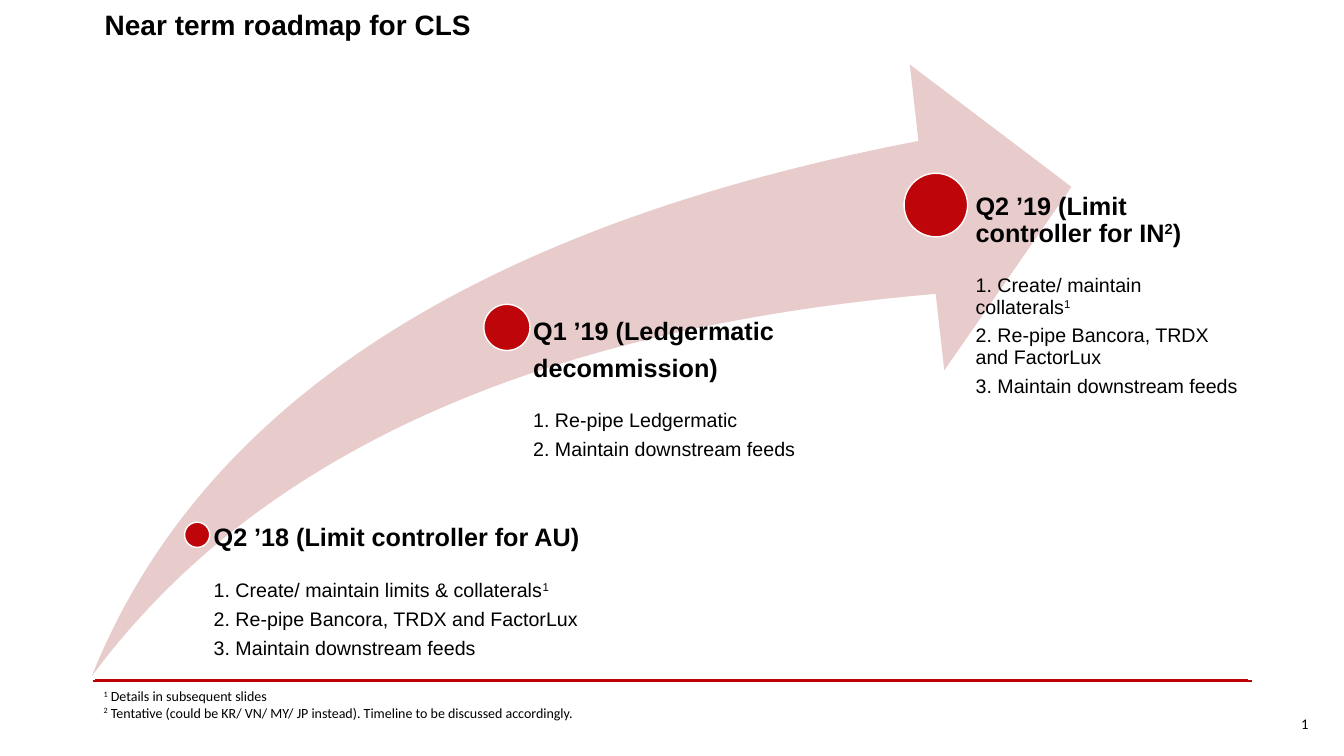
from dataclasses import dataclass

from lxml import etree
from pptx import Presentation
from pptx.dml.color import RGBColor
from pptx.enum import shapes, text
from pptx.oxml import ns
from pptx.util import Pt


@dataclass(frozen=True)
class Theme:
    ink: str = "000000"
    white: str = "FFFFFF"
    red: str = "BE050A"
    rule: str = "C00000"
    blush: str = "E8CCCC"
    sans: str = "Arial"
    small_sans: str = "Calibri"
    title: float = 20
    heading: float = 18
    item: float = 14
    note: float = 10
    number: float = 10.5


THEME = Theme()

# Milestones: dot (left, top, diameter), box (left, top, width, height),
# left inset, heading lines, items; "^" precedes a raised figure
MILESTONES = [
    ((131.8, 373, 18), (143.3, 375.1, 273, 102.2), 9.36,
     ["Q2 ’18 (Limit controller for AU)"],
     ["1. Create/ maintain limits & collaterals^1",
      "2. Re-pipe Bancora, TRDX and FactorLux",
      "3. Maintain downstream feeds"]),
    ((345.6, 217.4, 33), (371.5, 227.5, 257.8, 108), 9.36,
     ["Q1 ’19 (Ledgermatic", "decommission)"],
     ["1. Re-pipe Ledgermatic", "2. Maintain downstream feeds"]),
    ((645.8, 123.8, 45.4), (673.2, 138.2, 213.1, 143.3), 23.76,
     ["Q2 ’19 (Limit controller for IN^2)"],
     ["1. Create/ maintain collaterals^1",
      "2. Re-pipe Bancora, TRDX and FactorLux",
      "3. Maintain downstream feeds"]),
]
NOTES = [
    "^1 Details in subsequent slides",
    "^2 Tentative (could be KR/ VN/ MY/ JP instead). "
    "Timeline to be discussed accordingly.",
]


def color(value):
    return RGBColor.from_string(value)


def add_span(para, words, size, font, bold, raised=False):
    span = para.add_run()
    span.text = words
    span.font.size = Pt(size)
    span.font.name = font
    span.font.bold = bold
    span.font.color.rgb = color(THEME.ink)
    if raised:
        span._r.get_or_add_rPr().set("baseline", "30000")


def add_box(page, place, inset=None, anchor=text.MSO_ANCHOR.TOP):
    frame = page.shapes.add_textbox(*map(Pt, place)).text_frame
    frame.word_wrap = True
    frame.vertical_anchor = anchor
    if inset is not None:
        frame.margin_left = Pt(inset)
        frame.margin_top = frame.margin_right = frame.margin_bottom = 0
    return frame


def add_para(frame, words, size, font, bold=False):
    first = frame.paragraphs[0]
    para = frame.add_paragraph() if first.runs else first
    plain, *marked = words.split("^")
    if plain:
        add_span(para, plain, size, font, bold)
    for part in marked:
        add_span(para, part[0], size, font, bold, raised=True)
        if part[1:]:
            add_span(para, part[1:], size, font, bold)
    return para


def add_preset(page, kind, place, fill, outline=None):
    shape = page.shapes.add_shape(kind, *map(Pt, place))
    shape.shadow.inherit = False
    shape.fill.solid()
    shape.fill.fore_color.rgb = color(fill)
    if outline:
        shape.line.color.rgb = color(outline)
        shape.line.width = Pt(1)
    else:
        shape.line.fill.background()
    return shape


def add_rule(page, left, right, top, stroke):
    rule = page.shapes.add_connector(
        shapes.MSO_CONNECTOR.STRAIGHT, Pt(left), Pt(top), Pt(right), Pt(top))
    rule.line.color.rgb = color(stroke)
    rule.line.width = Pt(1.5)
    etree.SubElement(rule._element.spPr, ns.qn("a:effectLst"))


def add_milestone(page, dot, place, inset, heading, items):
    left, top, diameter = dot
    add_preset(page, shapes.MSO_SHAPE.OVAL, (left, top, diameter, diameter),
               THEME.red, THEME.white)
    frame = add_box(page, place, inset)
    for line in heading:
        para = add_para(frame, line, THEME.heading, THEME.sans, bold=True)
        para.line_spacing = 0.9
        para.space_after = Pt(7)
    para.space_after = Pt(20)
    for item in items:
        para = add_para(frame, item, THEME.item, THEME.sans)
        para.line_spacing = 0.9
        para.space_after = Pt(5.5)


def main():
    deck = Presentation()
    deck.slide_width, deck.slide_height = Pt(960), Pt(540)
    page = deck.slides.add_slide(deck.slide_layouts[6])

    # Footer rules
    add_rule(page, 67.7, 891.4, 486, THEME.red)
    add_rule(page, 66.2, 894.2, 486.7, THEME.rule)

    # Title, page number and footnotes
    middle = text.MSO_ANCHOR.MIDDLE
    frame = add_box(page, (67.7, 0, 824.4, 34.6), anchor=middle)
    add_para(frame, "Near term roadmap for CLS", THEME.title, THEME.sans, bold=True)
    frame = add_box(page, (829.4, 501.8, 112.3, 30.2), anchor=middle)
    number = add_para(frame, "1", THEME.number, THEME.small_sans)
    number.alignment = text.PP_ALIGN.RIGHT
    frame = add_box(page, (67, 487.4, 720, 31.7))
    for note in NOTES:
        add_para(frame, note, THEME.note, THEME.small_sans)

    # Rising arrow with its milestones
    arrow = add_preset(page, shapes.MSO_SHAPE.SWOOSH_ARROW,
                       (65.5, 46.1, 699.8, 437), THEME.blush)
    arrow.adjustments[0] = arrow.adjustments[1] = 0.25
    for milestone in MILESTONES:
        add_milestone(page, *milestone)

    deck.save("out.pptx")


main()
